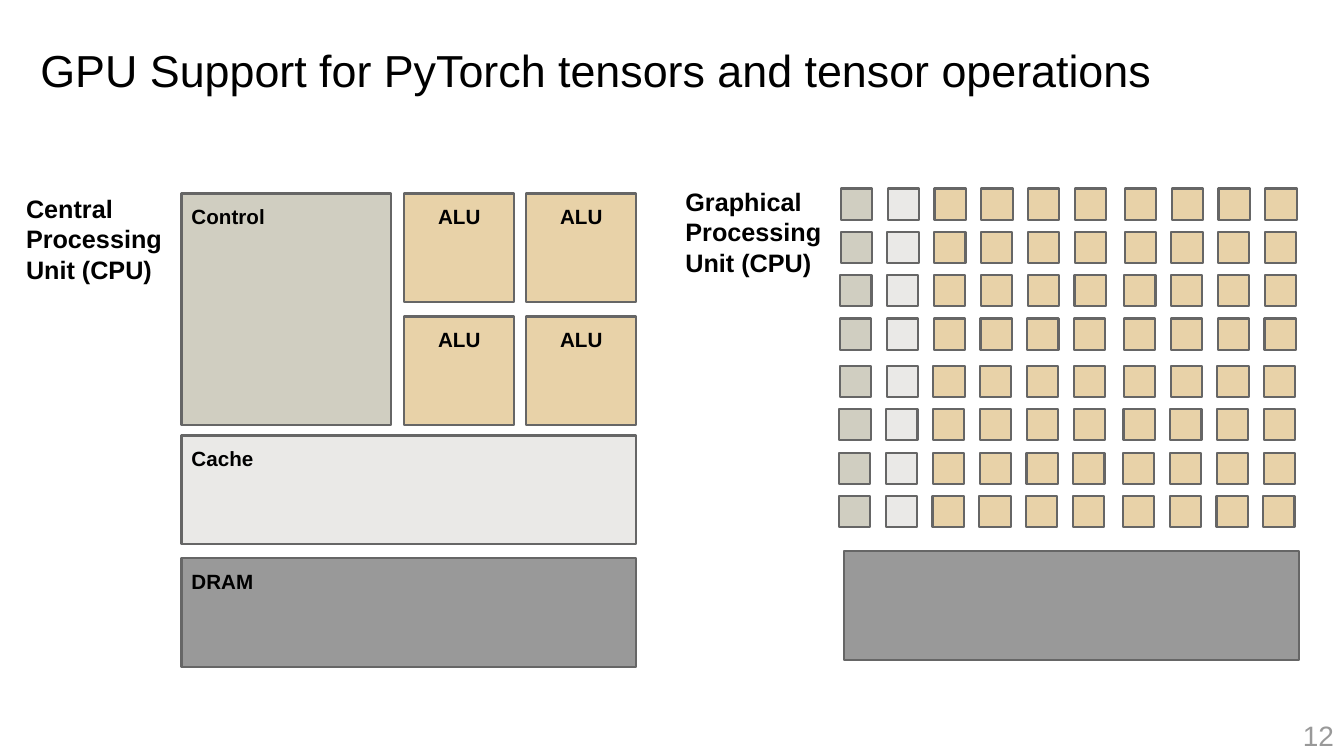
from dataclasses import dataclass
from itertools import product

from pptx import Presentation
from pptx.dml.color import RGBColor
from pptx.enum.shapes import MSO_SHAPE
from pptx.enum.text import MSO_ANCHOR, MSO_AUTO_SIZE, PP_ALIGN
from pptx.util import Inches, Pt


@dataclass(frozen=True)
class Theme:
    font: str = "Arial"
    text: str = "000000"
    page_number: str = "999999"
    outline: str = "666666"
    control: str = "D0CEC1"
    cache: str = "EAE9E7"
    alu: str = "E8D2A8"
    dram: str = "999999"
    title_size: float = 32
    page_size: float = 20
    heading_size: float = 18
    block_size: float = 14.7
    outline_width: float = 1.5


THEME = Theme()
TITLE = "GPU Support for PyTorch tensors and tensor operations"


def write_text(shape, text, size, color=THEME.text, bold=False, align=PP_ALIGN.LEFT):
    shape.text_frame.text = text
    paragraph = shape.text_frame.paragraphs[0]
    paragraph.alignment = align
    font = paragraph.runs[0].font
    font.name = THEME.font
    font.size = Pt(size)
    font.bold = bold
    font.color.rgb = RGBColor.from_string(color)
    return paragraph


def set_insets(frame, left, top, right, bottom):
    frame.margin_left, frame.margin_top = Inches(left), Inches(top)
    frame.margin_right, frame.margin_bottom = Inches(right), Inches(bottom)


def format_title(slide):
    title = slide.shapes.title
    title.left, title.top = Inches(0), Inches(0)
    title.width, title.height = Inches(13.33), Inches(1.45)
    frame = title.text_frame
    frame.auto_size = MSO_AUTO_SIZE.NONE
    frame.vertical_anchor = MSO_ANCHOR.MIDDLE
    set_insets(frame, 0.4, 0.05, 0.1, 0.05)
    write_text(title, TITLE, THEME.title_size).line_spacing = 0.9


def add_label(slide, text, left, top, width, height, size, **style):
    label = slide.shapes.add_textbox(
        Inches(left), Inches(top), Inches(width), Inches(height))
    label.text_frame.word_wrap = True
    write_text(label, text, size, **style)
    return label


def add_block(shapes, fill, left, top, width, height, text="", align=PP_ALIGN.LEFT):
    block = shapes.add_shape(
        MSO_SHAPE.RECTANGLE, Inches(left), Inches(top), Inches(width), Inches(height))
    block.shadow.inherit = False
    block.fill.solid()
    block.fill.fore_color.rgb = RGBColor.from_string(fill)
    block.line.color.rgb = RGBColor.from_string(THEME.outline)
    block.line.width = Pt(THEME.outline_width)
    if text:
        frame = block.text_frame
        frame.word_wrap = True
        frame.vertical_anchor = MSO_ANCHOR.TOP
        set_insets(frame, 0.1, 0.1, 0.1, 0.1)
        write_text(block, text, THEME.block_size, bold=True, align=align)


def add_cpu(slide):
    shapes = slide.shapes
    add_block(shapes, THEME.cache, 1.8, 4.32, 4.51, 1.08, "Cache")
    add_block(shapes, THEME.dram, 1.8, 5.54, 4.51, 1.08, "DRAM")
    for left, top in product((4.01, 5.22), (1.92, 3.14)):
        add_block(shapes, THEME.alu, left, top, 1.09, 1.08, "ALU", PP_ALIGN.CENTER)
    add_block(shapes, THEME.control, 1.8, 1.92, 2.08, 2.3, "Control")


def add_gpu(slide):
    shapes = slide.shapes.add_group_shape().shapes
    add_block(shapes, THEME.dram, 8.37, 5.47, 4.51, 1.08)
    column_fills = [THEME.control, THEME.cache] + [THEME.alu] * 8
    for row, (column, fill) in product(range(8), enumerate(column_fills)):
        middle_gap = 0.03 if column >= 6 else 0
        row_shift = 0.02 * row / 7
        left = 8.34 + 4.18 * column / 9 + middle_gap - row_shift
        top = 1.87 + 0.43 * row + (0.04 if row >= 4 else 0)
        add_block(shapes, fill, left, top, 0.31, 0.31)


def main():
    presentation = Presentation()
    presentation.slide_width = Inches(13.33)
    presentation.slide_height = Inches(7.5)
    slide = presentation.slides.add_slide(presentation.slide_layouts[5])
    format_title(slide)
    page = add_label(slide, "12", 10.33, 7.09, 3, 0.4, THEME.page_size,
                     color=THEME.page_number, align=PP_ALIGN.RIGHT)
    page.text_frame.vertical_anchor = MSO_ANCHOR.MIDDLE
    add_cpu(slide)
    add_gpu(slide)
    for kind, left, top in (("Central", 0.16, 1.87), ("Graphical", 6.7, 1.8)):
        add_label(slide, f"{kind} Processing Unit (CPU)", left, top, 1.6, 1.01,
                  THEME.heading_size, bold=True)
    presentation.save("out.pptx")


if __name__ == "__main__":
    main()
